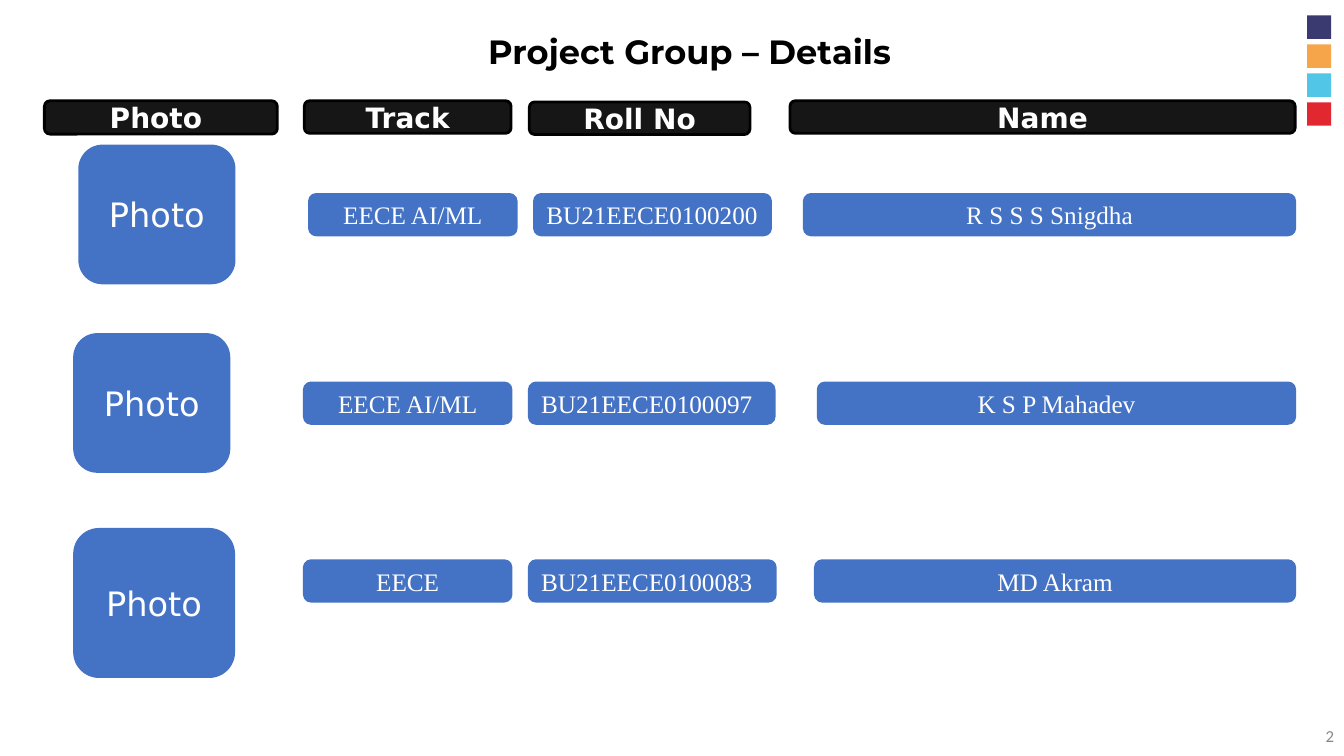
from dataclasses import dataclass

from pptx import Presentation
from pptx.dml.color import RGBColor
from pptx.enum.shapes import MSO_SHAPE
from pptx.enum.text import MSO_ANCHOR, MSO_AUTO_SIZE, PP_ALIGN
from pptx.util import Cm, Pt


@dataclass(frozen=True)
class Theme:
    white: str = "FFFFFF"
    black: str = "000000"
    header: str = "171616"
    blue: str = "4472C4"
    grey: str = "888888"
    accents: tuple = ("3A3A70", "F7A54B", "51C6E7", "E12730")
    title_font: str = "Montserrat"
    label_font: str = "DejaVu Sans"
    detail_font: str = "Times New Roman"
    number_font: str = "Calibri"
    title_size: int = 24
    header_size: int = 20
    photo_size: int = 24
    detail_size: int = 18
    number_size: int = 12


THEME = Theme()
TITLE = dict(name=THEME.title_font, size=Pt(THEME.title_size), bold=True)
HEADER = dict(name=THEME.label_font, size=Pt(THEME.header_size), bold=True)
PHOTO = dict(name=THEME.label_font, size=Pt(THEME.photo_size), bold=False)
DETAIL = dict(name=THEME.detail_font, size=Pt(THEME.detail_size), bold=False)
NUMBER = dict(name=THEME.number_font, size=Pt(THEME.number_size), bold=False)

# Column positions in cm
RIGHT_EDGE = 32.63
TRACK_WIDTH = 5.21
PILL_HEIGHT = 1.02
HEADERS = [  # label, left, top offset, width, height
    ("Photo ", 1.12, 0, 5.87, 0.84),
    ("Track", 7.67, 0, TRACK_WIDTH, 0.82),
    ("Roll No", 13.34, 0.03, 5.56, 0.82),
    ("Name", 19.91, 0, 12.73, 0.82),
]
MEMBERS = [  # box (left, top, photo width, photo height), pill drop, texts, roll width, name left
    ((2.01, 3.68, 3.89, 3.45), 1.22, ("EECE AI/ML", "BU21EECE0100200", "R S S S Snigdha"), 5.95, 20.27),
    ((1.88, 8.43, 3.89, 3.45), 1.22, ("EECE AI/ML", "BU21EECE0100097", "K S P Mahadev"), 6.17, 20.62),
    ((1.88, 13.34, 4.01, 3.71), 0.79, ("EECE", "BU21EECE0100083", "MD Akram"), 6.2, 20.55),
]


def write(frame, text, style, color, align=PP_ALIGN.CENTER, anchor=MSO_ANCHOR.MIDDLE):
    settings = dict(word_wrap=True, auto_size=MSO_AUTO_SIZE.NONE, vertical_anchor=anchor,
                    margin_left=Cm(0.25), margin_right=Cm(0.25),
                    margin_top=Cm(0.13), margin_bottom=Cm(0.13))
    for key, value in settings.items():
        setattr(frame, key, value)
    paragraph = frame.paragraphs[0]
    paragraph.alignment = align
    run = paragraph.add_run()
    run.text = text
    for key, value in style.items():
        setattr(run.font, key, value)
    run.font.color.rgb = RGBColor.from_string(color)


def add_block(slide, kind, box, fill, line=None):
    block = slide.shapes.add_shape(kind, *map(Cm, box))
    block.shadow.inherit = False
    block.fill.solid()
    block.fill.fore_color.rgb = RGBColor.from_string(fill)
    if line:
        block.line.color.rgb = RGBColor.from_string(line)
        block.line.width = Pt(2)
    else:
        block.line.fill.background()
    return block


def add_label(slide, box, text, style, fill, line, align=PP_ALIGN.CENTER):
    label = add_block(slide, MSO_SHAPE.ROUNDED_RECTANGLE, box, fill, line)
    write(label.text_frame, text, style, THEME.white, align)


def add_accents(slide, left, top):
    for index, color in enumerate(THEME.accents):
        add_block(slide, MSO_SHAPE.RECTANGLE, (left, top + index * 0.73, 0.61, 0.59), color)


def add_title(slide, box):
    title = slide.shapes.title
    for key, value in zip(("left", "top", "width", "height"), box):
        setattr(title, key, Cm(value))
    write(title.text_frame, "Project Group – Details", TITLE, THEME.black, anchor=MSO_ANCHOR.TOP)


def add_header_row(slide, top):
    for text, left, drop, width, height in HEADERS:
        add_label(slide, (left, top + drop, width, height), text, HEADER, THEME.header, THEME.black)


def add_member(slide, box, drop, texts, roll_width, name_left):
    left, top, _, _ = box
    add_label(slide, box, "Photo", PHOTO, THEME.blue, THEME.blue)
    columns = [
        (left + 5.79, TRACK_WIDTH, PP_ALIGN.CENTER),
        (left + 11.46, roll_width, PP_ALIGN.LEFT),
        (name_left, RIGHT_EDGE - name_left, PP_ALIGN.CENTER),
    ]
    for text, (pill_left, width, align) in zip(texts, columns):
        add_label(slide, (pill_left, top + drop, width, PILL_HEIGHT), text, DETAIL,
                  THEME.blue, THEME.blue, align)


def add_page_number(slide, box):
    number = slide.shapes.add_textbox(*map(Cm, box))
    write(number.text_frame, "2", NUMBER, THEME.grey, PP_ALIGN.RIGHT)


def main():
    deck = Presentation()
    deck.slide_width, deck.slide_height = Cm(33.87), Cm(19.05)
    slide = deck.slides.add_slide(deck.slide_layouts[5])

    # Title and corner accents
    add_accents(slide, 32.94, 0.39)
    add_title(slide, (2.77, 0.64, 29.21, 1.37))

    # Column headers and group members
    add_header_row(slide, 2.54)
    for member in MEMBERS:
        add_member(slide, *member)

    # Page number
    add_page_number(slide, (26.25, 18.03, 7.62, 1.02))
    deck.save("out.pptx")


if __name__ == "__main__":
    main()
